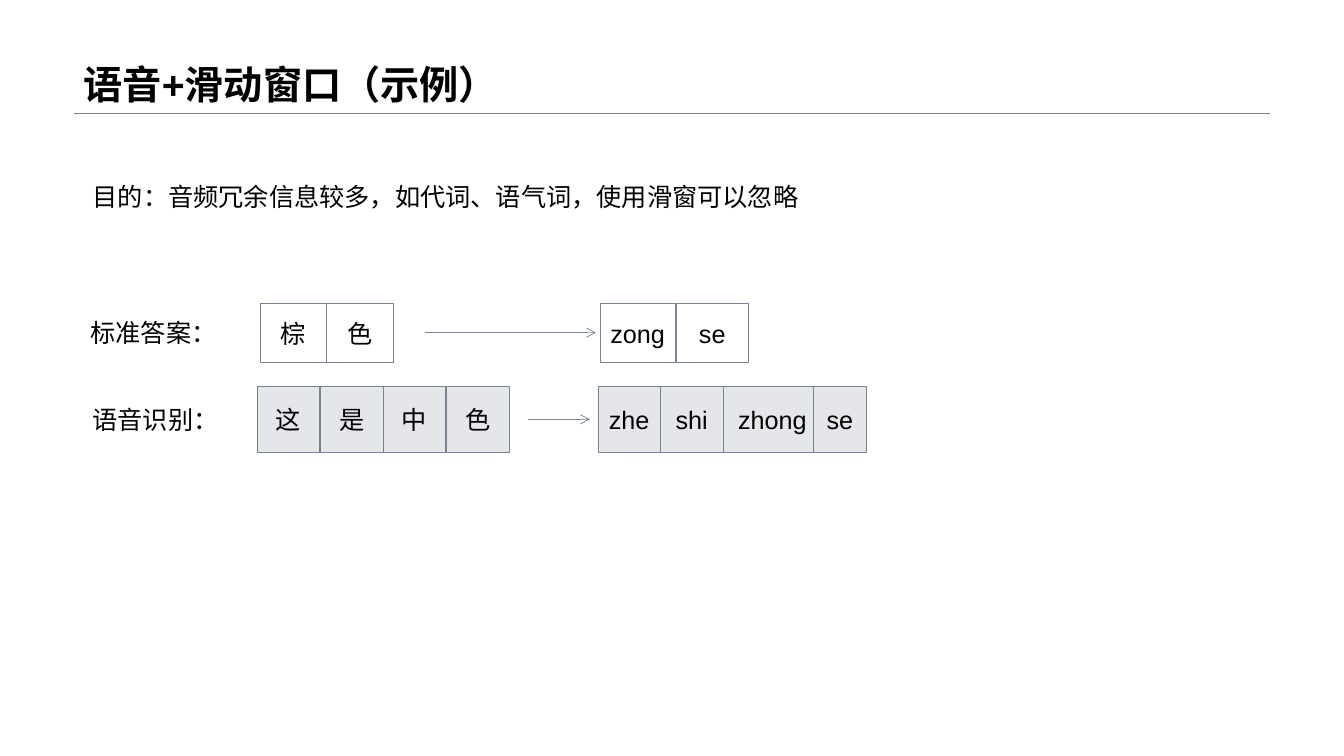
from dataclasses import dataclass

from lxml.etree import SubElement
from pptx import Presentation
from pptx.dml.color import RGBColor
from pptx.enum.shapes import MSO_CONNECTOR, MSO_SHAPE
from pptx.enum.text import MSO_ANCHOR, MSO_AUTO_SIZE, PP_ALIGN
from pptx.oxml.ns import qn
from pptx.util import Inches, Pt


@dataclass(frozen=True)
class Theme:
    font: str = "Arial"
    head: int = 28
    body: int = 18
    ink: str = "000000"
    rule: str = "808080"
    edge: str = "768394"
    white: str = "FFFFFF"
    gray: str = "E4E6EA"


theme = Theme()


def write(shape, text, size=theme.body, bold=False, align=PP_ALIGN.LEFT,
          anchor=MSO_ANCHOR.TOP, wrap=True, spacing=1.0):
    frame = shape.text_frame
    frame.auto_size = MSO_AUTO_SIZE.NONE
    frame.word_wrap = wrap
    frame.vertical_anchor = anchor
    para = frame.paragraphs[0]
    para.text = text
    para.alignment = align
    para.line_spacing = spacing
    font = para.runs[0].font
    font.name, font.size, font.bold = theme.font, Pt(size), bold
    font.color.rgb = RGBColor.from_string(theme.ink)


def draw_line(left, right, y, color, width, arrow=False):
    line = slide.shapes.add_connector(
        MSO_CONNECTOR.STRAIGHT, Inches(left), Inches(y), Inches(right), Inches(y))
    line.line.color.rgb = RGBColor.from_string(color)
    line.line.width = Pt(width)
    if arrow:
        SubElement(line.line._get_or_add_ln(), qn("a:tailEnd"), type="arrow")
    SubElement(line._element.spPr, qn("a:effectLst"))


deck = Presentation()
deck.slide_width, deck.slide_height = Inches(13.33), Inches(7.5)
slide = deck.slides.add_slide(deck.slide_layouts[5])

draw_line(0.73, 12.6, 1.12, theme.rule, 0.25)
title = slide.shapes.title
title.left, title.top = Inches(0.73), Inches(0)
title.width, title.height = Inches(11.87), Inches(1.12)
write(title, "语音+滑动窗口（示例）", size=theme.head, bold=True,
      anchor=MSO_ANCHOR.BOTTOM, spacing=0.9)

# Text, left, top, width
labels = [
    ("目的：音频冗余信息较多，如代词、语气词，使用滑窗可以忽略", 0.82, 1.75, 7.72),
    ("标准答案：", 0.8, 3.1, 1.5),
    ("语音识别：", 0.82, 3.96, 1.5),
]
for text, left, top, width in labels:
    box = slide.shapes.add_textbox(
        Inches(left), Inches(top), Inches(width), Inches(0.4))
    write(box, text)

# Top, height, fill, cells as (text, left, width)
rows = [
    (3.01, 0.59, theme.white,
     [("棕", 2.58, 0.66), ("色", 3.24, 0.66),
      ("zong", 5.95, 0.75), ("se", 6.71, 0.71)]),
    (3.83, 0.66, theme.gray,
     [("这", 2.55, 0.62), ("是", 3.18, 0.62), ("中", 3.8, 0.62), ("色", 4.43, 0.62),
      ("zhe", 5.93, 0.62), ("shi", 6.55, 0.62),
      ("zhong", 7.17, 0.98), ("se", 8.07, 0.52)]),
]
for top, height, fill, cells in rows:
    for text, left, width in cells:
        cell = slide.shapes.add_shape(
            MSO_SHAPE.RECTANGLE, Inches(left), Inches(top),
            Inches(width), Inches(height))
        cell.shadow.inherit = False
        cell.fill.solid()
        cell.fill.fore_color.rgb = RGBColor.from_string(fill)
        cell.line.color.rgb = RGBColor.from_string(theme.edge)
        cell.line.width = Pt(0.5)
        write(cell, text, align=PP_ALIGN.CENTER, anchor=MSO_ANCHOR.MIDDLE, wrap=False)

for left, right, y in [(4.22, 5.91, 3.3), (5.24, 5.85, 4.16)]:
    draw_line(left, right, y, theme.edge, 0.5, arrow=True)

deck.save("out.pptx")
